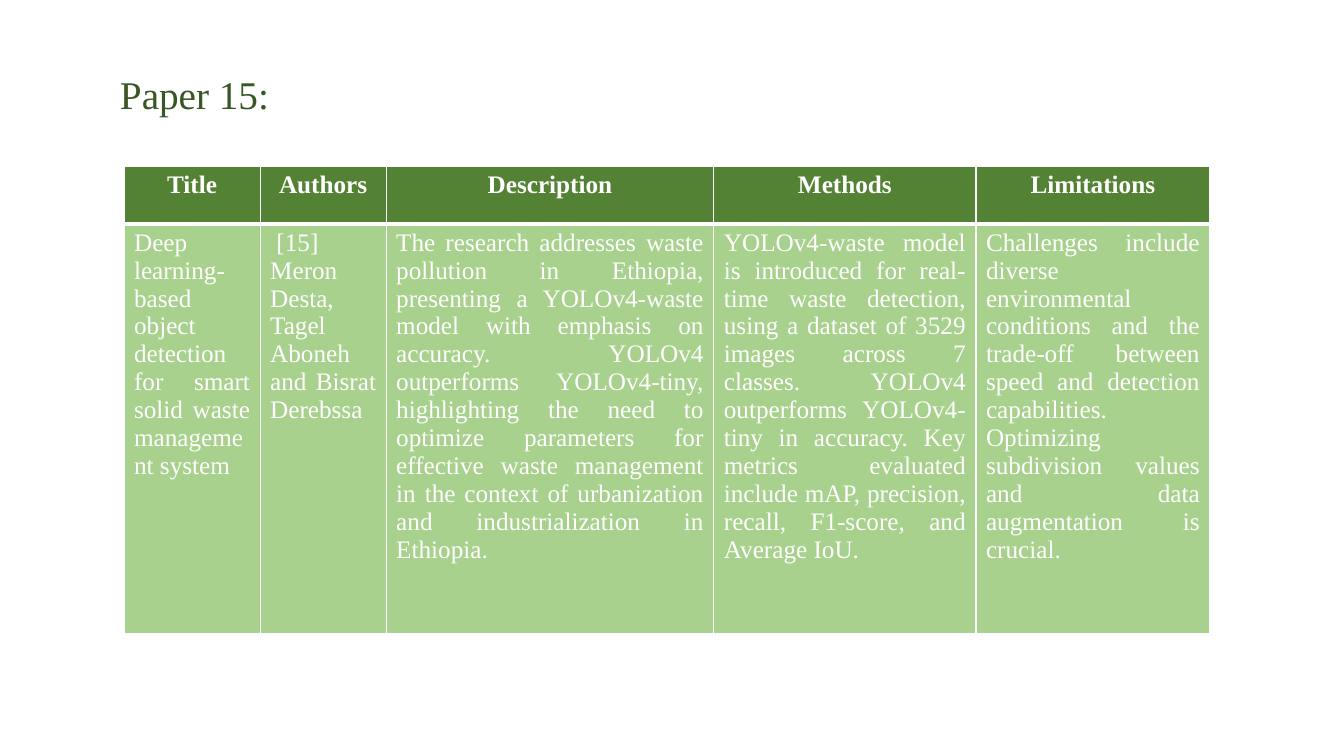
from pptx import Presentation
from pptx.dml.color import RGBColor
from pptx.enum.text import MSO_ANCHOR, MSO_AUTO_SIZE, PP_ALIGN
from pptx.oxml import parse_xml
from pptx.oxml.ns import nsdecls
from pptx.util import Inches, Pt

# Content
HEADING = "Paper 15:"
PAPER = {
    "Title": ["Deep learning-based object ",
              "detection for smart solid waste ",
              "management system"],
    "Authors": [" [15]", "Meron Desta, Tagel Aboneh and Bisrat Derebssa"],
    "Description": [
        "The research addresses waste pollution in Ethiopia, presenting a "
        "YOLOv4-waste model with emphasis on accuracy. YOLOv4 outperforms "
        "YOLOv4-tiny, highlighting the need to optimize parameters for "
        "effective waste management in the context of urbanization and "
        "industrialization in Ethiopia."],
    "Methods": [
        "YOLOv4-waste model is introduced for real-time waste detection, "
        "using a dataset of 3529 images across 7 classes. YOLOv4 outperforms "
        "YOLOv4-tiny in accuracy. Key metrics evaluated include mAP, "
        "precision, recall, F1-score, and Average IoU."],
    "Limitations": [
        "Challenges include diverse environmental conditions and the "
        "trade-off between speed and detection capabilities. Optimizing "
        "subdivision values and data augmentation is crucial."],
}

# Layout in inches, and look
SLIDE = (13.33, 7.5)
HEADING_BOX = (1.09, 0.7, 11.63, 0.65)
TABLE_AT = (1.23, 1.65)
COLUMNS = (1.35, 1.25, 3.25, 2.6, 2.32)
ROWS = (0.57, 4.07)
FONT = "Times New Roman"
WHITE, HEADING_GREEN = "FFFFFF", "385723"
HEADER_GREEN, BODY_GREEN = "548235", "A9D18E"
HEADER_BORDERS = {"L": 1, "R": 1, "T": 1, "B": 3}
BODY_BORDERS = {"L": 1, "R": 1, "T": 3, "B": 1}


def color(hex_text):
    return RGBColor.from_string(hex_text)


def write(frame, lines, size=18, ink=WHITE, bold=False,
          align=PP_ALIGN.LEFT, spacing=1.0):
    for index, line in enumerate(lines):
        para = frame.add_paragraph() if index else frame.paragraphs[0]
        para.alignment, para.line_spacing = align, spacing
        span = para.add_run()
        span.text = line
        span.font.name, span.font.size = FONT, Pt(size)
        span.font.bold, span.font.color.rgb = bold, color(ink)


def paint(cell, fill, borders):
    cell.fill.solid()
    cell.fill.fore_color.rgb = color(fill)
    properties = cell._tc.get_or_add_tcPr()
    for place, (side, width) in enumerate(borders.items()):
        properties.insert(place, parse_xml(
            f'<a:ln{side} {nsdecls("a")} w="{Pt(width)}"><a:solidFill>'
            f'<a:srgbClr val="{WHITE}"/></a:solidFill></a:ln{side}>'))


def main():
    deck = Presentation()
    deck.slide_width, deck.slide_height = map(Inches, SLIDE)
    page = deck.slides.add_slide(deck.slide_layouts.get_by_name("Title Only"))

    # Heading
    box = page.shapes.title
    box.left, box.top, box.width, box.height = map(Inches, HEADING_BOX)
    frame = box.text_frame
    frame.auto_size, frame.vertical_anchor = MSO_AUTO_SIZE.NONE, MSO_ANCHOR.TOP
    write(frame, [HEADING], size=28, ink=HEADING_GREEN, spacing=0.9)

    # Table
    table = page.shapes.add_table(
        len(ROWS), len(COLUMNS), *map(Inches, TABLE_AT),
        Inches(sum(COLUMNS)), Inches(sum(ROWS))).table
    for row, height in zip(table.rows, ROWS):
        row.height = Inches(height)
    for index, (label, lines) in enumerate(PAPER.items()):
        table.columns[index].width = Inches(COLUMNS[index])
        header, body = table.cell(0, index), table.cell(1, index)
        write(header.text_frame, [label], bold=True, align=PP_ALIGN.CENTER)
        write(body.text_frame, lines, align=PP_ALIGN.JUSTIFY)
        paint(header, HEADER_GREEN, HEADER_BORDERS)
        paint(body, BODY_GREEN, BODY_BORDERS)

    deck.save("out.pptx")


if __name__ == "__main__":
    main()
